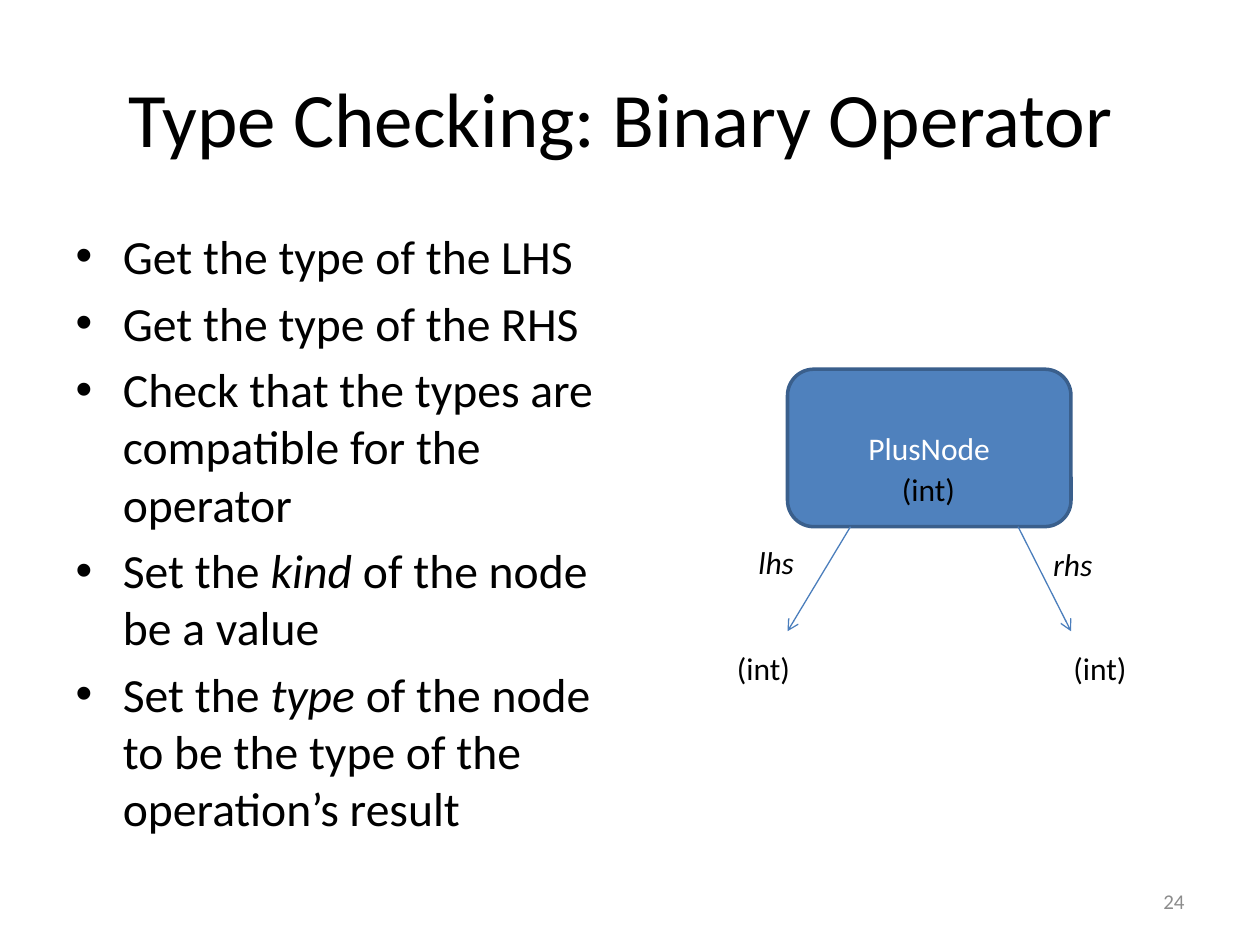
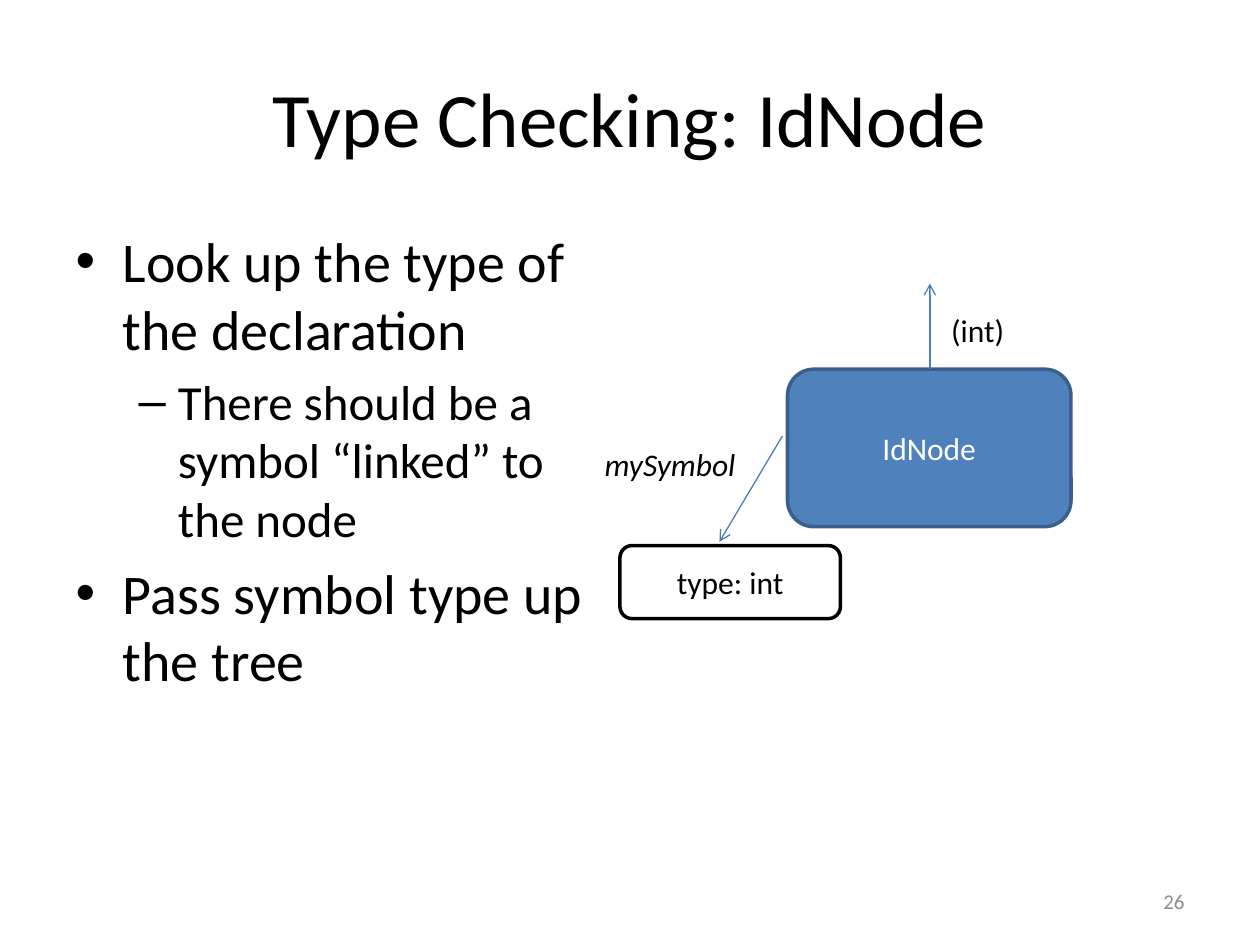
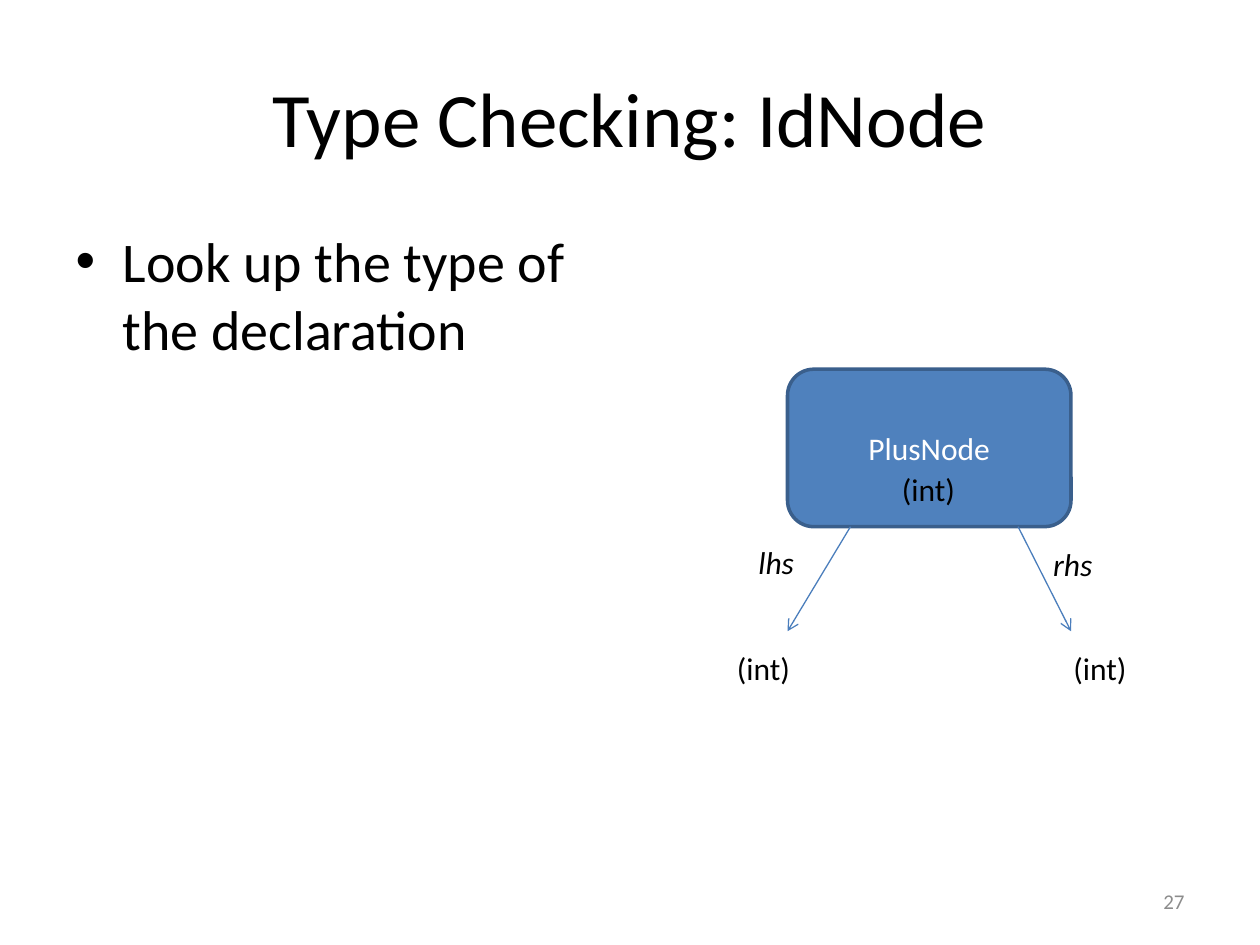
import dataclasses
import typing

import pptx
import pptx.dml.color
import pptx.enum.shapes
import pptx.enum.text
import pptx.oxml
import pptx.oxml.ns
import pptx.slide
import pptx.text.text
import pptx.util

Inches = pptx.util.Inches
Color = pptx.dml.color.RGBColor
Align = pptx.enum.text.PP_ALIGN
Anchor = pptx.enum.text.MSO_ANCHOR
AutoSize = pptx.enum.text.MSO_AUTO_SIZE


@dataclasses.dataclass(frozen=True)
class Theme:
    font: str = "Calibri"
    ink: Color = Color(0x00, 0x00, 0x00)
    paper: Color = Color(0xFF, 0xFF, 0xFF)
    muted: Color = Color(0x8C, 0x8C, 0x8C)
    node_fill: Color = Color(0x4F, 0x81, 0xBD)
    node_edge: Color = Color(0x3A, 0x5F, 0x8C)
    arrow: Color = Color(0x4B, 0x7E, 0xBC)
    title_size: float = 44
    body_size: float = 32
    dense_size: float = 27.2
    detail_size: float = 28
    label_size: float = 18
    number_size: float = 12
    node_line: float = 2
    arrow_line: float = 0.75


THEME = Theme()


class Span(typing.NamedTuple):
    text: str
    italic: bool = False


class Bullet(typing.NamedTuple):
    spans: tuple[Span, ...]
    size: float = THEME.body_size
    level: int = 0


class Node(typing.NamedTuple):
    text: str
    left: float = 6.25
    top: float = 2.93
    width: float = 2.25
    height: float = 1.25
    fill: Color = THEME.node_fill
    edge: Color = THEME.node_edge
    ink: Color = THEME.paper


class Arrow(typing.NamedTuple):
    start: tuple[float, float]
    end: tuple[float, float]


class Label(typing.NamedTuple):
    text: str
    left: float
    top: float
    width: float = 0.63
    italic: bool = False


Item = Node | Arrow | Label


class Page(typing.NamedTuple):
    title: str
    number: int
    bullets: tuple[Bullet, ...]
    diagram: tuple[Item, ...]


def style(para: pptx.text.text._Paragraph, size: float, color: Color) -> None:
    para.font.name = THEME.font
    para.font.size = pptx.util.Pt(size)
    para.font.color.rgb = color


def place(shape: typing.Any, left: float, top: float, width: float, height: float) -> None:
    shape.left, shape.top = Inches(left), Inches(top)
    shape.width, shape.height = Inches(width), Inches(height)


def draw_node(slide: pptx.slide.Slide, node: Node) -> None:
    box = slide.shapes.add_shape(
        pptx.enum.shapes.MSO_SHAPE.ROUNDED_RECTANGLE,
        Inches(node.left), Inches(node.top), Inches(node.width), Inches(node.height),
    )
    box.shadow.inherit = False
    box.fill.solid()
    box.fill.fore_color.rgb = node.fill
    box.line.color.rgb = node.edge
    box.line.width = pptx.util.Pt(THEME.node_line)
    box.text_frame.vertical_anchor = Anchor.MIDDLE
    para = box.text_frame.paragraphs[0]
    para.text = node.text
    para.alignment = Align.CENTER
    style(para, THEME.label_size, node.ink)


def draw_arrow(slide: pptx.slide.Slide, arrow: Arrow) -> None:
    line = slide.shapes.add_connector(
        pptx.enum.shapes.MSO_CONNECTOR.STRAIGHT,
        *map(Inches, arrow.start + arrow.end),
    )
    line.line.color.rgb = THEME.arrow
    line.line.width = pptx.util.Pt(THEME.arrow_line)
    namespace = pptx.oxml.ns.nsdecls("a")
    head = pptx.oxml.parse_xml(f'<a:tailEnd {namespace} type="arrow"/>')
    line.line._get_or_add_ln().append(head)
    line._element.spPr.append(pptx.oxml.parse_xml(f"<a:effectLst {namespace}/>"))


def draw_label(slide: pptx.slide.Slide, label: Label) -> None:
    box = slide.shapes.add_textbox(
        Inches(label.left), Inches(label.top), Inches(label.width), Inches(0.4)
    )
    box.text_frame.word_wrap = False
    box.text_frame.auto_size = AutoSize.SHAPE_TO_FIT_TEXT
    para = box.text_frame.paragraphs[0]
    para.text = label.text
    style(para, THEME.label_size, THEME.ink)
    para.font.italic = label.italic


def draw_title(slide: pptx.slide.Slide, text: str) -> None:
    title = slide.shapes.title
    place(title, 0.5, 0.3, 9, 1.25)
    title.text_frame.vertical_anchor = Anchor.MIDDLE
    title.text_frame.auto_size = AutoSize.NONE
    para = title.text_frame.paragraphs[0]
    para.text = text
    para.alignment = Align.CENTER
    style(para, THEME.title_size, THEME.ink)


def draw_bullets(slide: pptx.slide.Slide, bullets: tuple[Bullet, ...]) -> None:
    body = slide.placeholders[1]
    place(body, 0.5, 1.75, 4.33, 4.95)
    frame = body.text_frame
    frame.auto_size = AutoSize.NONE
    for index, bullet in enumerate(bullets):
        para = frame.add_paragraph() if index else frame.paragraphs[0]
        para.level = bullet.level
        style(para, bullet.size, THEME.ink)
        for span in bullet.spans:
            run = para.add_run()
            run.text = span.text
            if span.italic:
                run.font.italic = True


def draw_number(slide: pptx.slide.Slide, number: int) -> None:
    box = slide.shapes.add_textbox(Inches(7.17), Inches(6.95), Inches(2.33), Inches(0.4))
    box.text_frame.word_wrap = True
    box.text_frame.vertical_anchor = Anchor.MIDDLE
    para = box.text_frame.paragraphs[0]
    para.text = str(number)
    para.alignment = Align.RIGHT
    style(para, THEME.number_size, THEME.muted)


DRAW: dict[type, typing.Callable[..., None]] = {
    Node: draw_node,
    Arrow: draw_arrow,
    Label: draw_label,
}


def draw_page(deck: typing.Any, page: Page) -> None:
    slide = deck.slides.add_slide(deck.slide_layouts[1])
    draw_title(slide, page.title)
    draw_bullets(slide, page.bullets)
    draw_number(slide, page.number)
    for item in page.diagram:
        DRAW[type(item)](slide, item)


def dense(*spans: Span) -> Bullet:
    return Bullet(spans, THEME.dense_size)


LOOK_UP = Bullet((Span("Look up the type of the declaration"),))

PLUS_TREE: tuple[Item, ...] = (
    Node("PlusNode"),
    Arrow((6.75, 4.18), (6.25, 5.01)),
    Label("(int)", 5.75, 5.1),
    Label("lhs", 5.92, 4.26, 0.49, italic=True),
    Label("rhs", 8.26, 4.28, 0.52, italic=True),
    Arrow((8.08, 4.18), (8.5, 5.01)),
    Label("(int)", 8.42, 5.1),
    Label("(int)", 7.06, 3.68),
)

ID_TREE: tuple[Item, ...] = (
    Node("IdNode"),
    Arrow((6.21, 3.46), (5.71, 4.3)),
    Label("mySymbol", 4.7, 3.48, 1.25, italic=True),
    Arrow((7.38, 2.93), (7.38, 2.25)),
    Label("(int)", 7.45, 2.42),
    Node("type: int", 4.92, 4.33, 1.75, 0.58, THEME.paper, THEME.ink, THEME.ink),
)

PAGES = (
    Page(
        "Type Checking: Binary Operator ",
        24,
        (
            dense(Span("Get the type of the LHS")),
            dense(Span("Get the type of the RHS")),
            dense(Span("Check that the types are compatible for the operator")),
            dense(Span("Set the "), Span("kind ", True), Span("of the node be a value")),
            dense(
                Span("Set the "),
                Span("type ", True),
                Span("of the node to be the type of the operation’s result"),
            ),
        ),
        PLUS_TREE,
    ),
    Page(
        "Type Checking: IdNode",
        26,
        (
            LOOK_UP,
            Bullet(
                (Span("There should be a symbol “linked” to the node"),),
                THEME.detail_size,
                level=1,
            ),
            Bullet((Span("Pass symbol type up the tree"),)),
        ),
        ID_TREE,
    ),
    Page("Type Checking: IdNode", 27, (LOOK_UP,), PLUS_TREE),
)


def main() -> None:
    deck = pptx.Presentation()
    deck.slide_width, deck.slide_height = Inches(10), Inches(7.5)
    for page in PAGES:
        draw_page(deck, page)
    deck.save("out.pptx")


if __name__ == "__main__":
    main()
